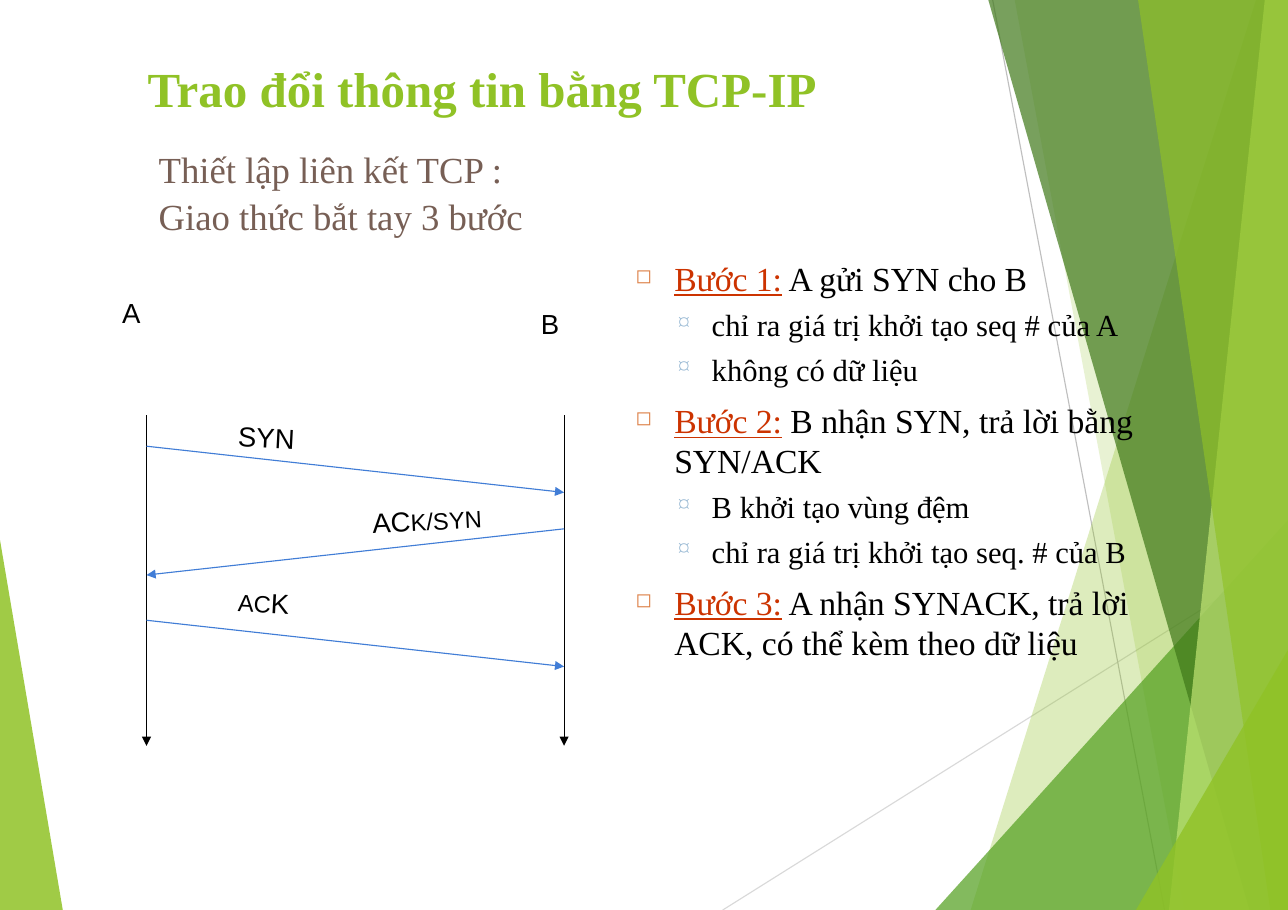
from dataclasses import dataclass

from lxml.etree import SubElement
from pptx import Presentation
from pptx.dml.color import RGBColor
from pptx.enum.shapes import MSO_CONNECTOR
from pptx.oxml.ns import qn
from pptx.util import Inches, Pt


@dataclass(frozen=True)
class Theme:
    green: str = "90C226"
    leaf: str = "54A021"
    forest: str = "3F7819"
    lime: str = "C0E474"
    ray_light: str = "D9D9D9"
    ray_dark: str = "BFBFBF"
    brown: str = "775F55"
    step: str = "CC3300"
    ink: str = "000000"
    message: str = "417DD6"
    step_bullet: str = "DD8047"
    detail_bullet: str = "94B6D2"
    serif: str = "Times New Roman"
    sans: str = "Arial"
    title_size: float = 32
    subtitle_size: float = 24
    step_size: float = 22
    detail_size: float = 20
    label_size: float = 18
    small_label_size: float = 15.5
    line_width: float = 0.75


THEME = Theme()


@dataclass(frozen=True)
class Box:
    left: float
    top: float
    width: float
    height: float

    def inner(self, x, y, width, height):
        return Box(self.left + x, self.top + y, width, height)

    def point(self, x, y):
        return Inches(self.left + x), Inches(self.top + y)


def add_run(paragraph, text, size, font=THEME.serif, color=THEME.ink, bold=False, underline=False):
    run = paragraph.add_run()
    run.text = text
    run.font.size = Pt(size)
    run.font.name = font
    run.font.bold = bold
    run.font.underline = underline
    run.font.color.rgb = RGBColor.from_string(color)


def add_frame(slide, box, rotation=0):
    """Add a wrapping text box without insets and return its text frame."""
    holder = slide.shapes.add_textbox(*box.point(0, 0), Inches(box.width), Inches(box.height))
    holder.rotation = rotation
    frame = holder.text_frame
    frame.word_wrap = True
    frame.margin_left = frame.margin_right = frame.margin_top = frame.margin_bottom = 0
    return frame


def add_facet(slide, box, corners, color, opacity):
    """Draw a translucent polygon whose corners are measured from the box."""
    start, *others = [box.point(*corner) for corner in corners]
    builder = slide.shapes.build_freeform(*start, scale=1.0)
    builder.add_line_segments(others, close=True)
    facet = builder.convert_to_shape()
    facet.shadow.inherit = False
    facet.line.fill.background()
    facet.fill.solid()
    facet.fill.fore_color.rgb = RGBColor.from_string(color)
    color_element = facet.fill._xPr.find(".//" + qn("a:srgbClr"))
    SubElement(color_element, qn("a:alpha"), val=str(opacity * 1000))


def add_line(slide, start, end, color, arrow=False):
    line = slide.shapes.add_connector(MSO_CONNECTOR.STRAIGHT, *start, *end)
    line.line.width = Pt(THEME.line_width)
    line.line.color.rgb = RGBColor.from_string(color)
    if arrow:
        SubElement(line.line._get_or_add_ln(), qn("a:tailEnd"), type="triangle")
    SubElement(line._element.spPr, qn("a:effectLst"))


def draw_left_facet(slide, box):
    add_facet(slide, box, [(0, 0), (box.width, box.height), (0, box.height)], THEME.green, 85)


def draw_right_facets(slide, box):
    right, bottom = box.width, box.height
    add_line(slide, box.point(0, bottom), box.point(right, 5.04), THEME.ray_light)
    add_line(slide, box.point(2.45, 0), box.point(4.01, bottom), THEME.ray_dark)

    # Each facet runs from its upper left corner to its lower left one: x, y, lower x
    facets = [
        (4.84, 0, 2.25, THEME.green, 30),
        (2.65, 0, 4.19, THEME.green, 20),
        (right, 4.72, 1.93, THEME.leaf, 72),
        (2.41, 0, 4.78, THEME.forest, 70),
        (4.92, 0, 4.05, THEME.lime, 70),
        (3.77, 0, 4.97, THEME.green, 65),
        (right, 5.9, 3.75, THEME.green, 80),
    ]
    for upper, top, lower, color, opacity in facets:
        corners = [(upper, top), (lower, bottom), (right, bottom)]
        if upper < right:
            corners.append((right, top))
        add_facet(slide, box, corners, color, opacity)


def draw_heading(slide, box):
    title = add_frame(slide, box.inner(0, 0, box.width, 0.56))
    add_run(title.paragraphs[0], "Trao đổi thông tin bằng TCP-IP", THEME.title_size,
            color=THEME.green, bold=True)

    subtitle = add_frame(slide, box.inner(0.1, 0.8, 3.5, 0.8))
    topic = subtitle.paragraphs[0]
    add_run(topic, "Thiết lập liên kết TCP :", THEME.subtitle_size, color=THEME.brown)
    protocol = subtitle.add_paragraph()
    protocol.space_before = Pt(1.8)
    add_run(protocol, "Giao thức bắt tay 3 bước", THEME.subtitle_size, color=THEME.brown)


def set_bullet(paragraph, char, color, percent, margin, indent):
    properties = paragraph._p.get_or_add_pPr()
    properties.set("marL", str(Inches(margin)))
    properties.set("indent", str(Inches(indent)))
    bullet_color = SubElement(properties, qn("a:buClr"))
    SubElement(bullet_color, qn("a:srgbClr"), val=color)
    SubElement(properties, qn("a:buSzPct"), val=str(percent * 1000))
    SubElement(properties, qn("a:buChar"), char=char)


def draw_steps(slide, box):
    steps = [
        ("Bước 1:", "A gửi SYN cho B",
         ["chỉ ra giá trị khởi tạo seq # của A", "không có dữ liệu"]),
        ("Bước 2:", "B nhận SYN, trả lời bằng SYN/ACK",
         ["B khởi tạo vùng đệm", "chỉ ra giá trị khởi tạo seq. # của B"]),
        ("Bước 3:", "A nhận SYNACK, trả lời ACK, có thể kèm theo dữ liệu", []),
    ]
    frame = add_frame(slide, box)
    for number, (name, action, details) in enumerate(steps):
        step = frame.add_paragraph() if number else frame.paragraphs[0]
        set_bullet(step, "◻", THEME.step_bullet, 59, 0.36, -0.35)
        if number:
            step.space_before = Pt(8.7)
            step.line_spacing = Pt(26)
        add_run(step, name, THEME.step_size, color=THEME.step, underline=True)
        add_run(step, " " + action, THEME.step_size)
        for text in details:
            detail = frame.add_paragraph()
            detail.level = 1
            set_bullet(detail, "¤", THEME.detail_bullet, 70, 0.7, -0.3)
            detail.space_before = Pt(5.1)
            add_run(detail, text, THEME.detail_size)


def draw_handshake(slide, box):
    """Draw the two time lines and the three messages between them."""
    hosts = [("A", 0, 0.24, 0.02), ("B", box.width, 0.23, 0.12)]
    for host, x, label_shift, label_top in hosts:
        label = add_frame(slide, box.inner(x - label_shift + 0.02, label_top, 0.2, 0.33))
        add_run(label.paragraphs[0], host, THEME.label_size, THEME.sans)
        add_line(slide, box.point(x, 1.1), box.point(x, box.height), THEME.ink, arrow=True)

    large, small = THEME.label_size, THEME.small_label_size
    # Start x, end x, start y, label x, label y, label parts, label tilt
    messages = [
        (0, box.width, 1.38, 0.83, 1.2, [("SYN", large)], 3),
        (box.width, 0, 2.13, 2.05, 1.94, [("AC", large), ("K/SYN", small)], -3),
        (0, box.width, 2.96, 0.83, 2.7, [("AC", small), ("K", large)], 3),
    ]
    for start, end, y, label_x, label_y, parts, tilt in messages:
        add_line(slide, box.point(start, y), box.point(end, y + 0.42), THEME.message, arrow=True)
        width = 1.13 if tilt < 0 else 0.58
        label = add_frame(slide, box.inner(label_x, label_y, width, 0.25), tilt)
        label.paragraphs[0].line_spacing = Pt(18)
        for text, size in parts:
            add_run(label.paragraphs[0], text, size, THEME.sans)


def main():
    presentation = Presentation()
    presentation.slide_width = Inches(11.69)
    presentation.slide_height = Inches(8.26)
    slide = presentation.slides.add_slide(presentation.slide_layouts[6])
    draw_left_facet(slide, Box(0, 4.9, 0.57, 3.36))
    draw_right_facets(slide, Box(6.56, 0, 5.13, 8.26))
    draw_heading(slide, Box(1.34, 0.53, 6.86, 1.6))
    draw_steps(slide, Box(5.76, 2.34, 4.55, 3.64))
    draw_handshake(slide, Box(1.33, 2.67, 3.79, 4.1))
    presentation.save("out.pptx")


if __name__ == "__main__":
    main()
